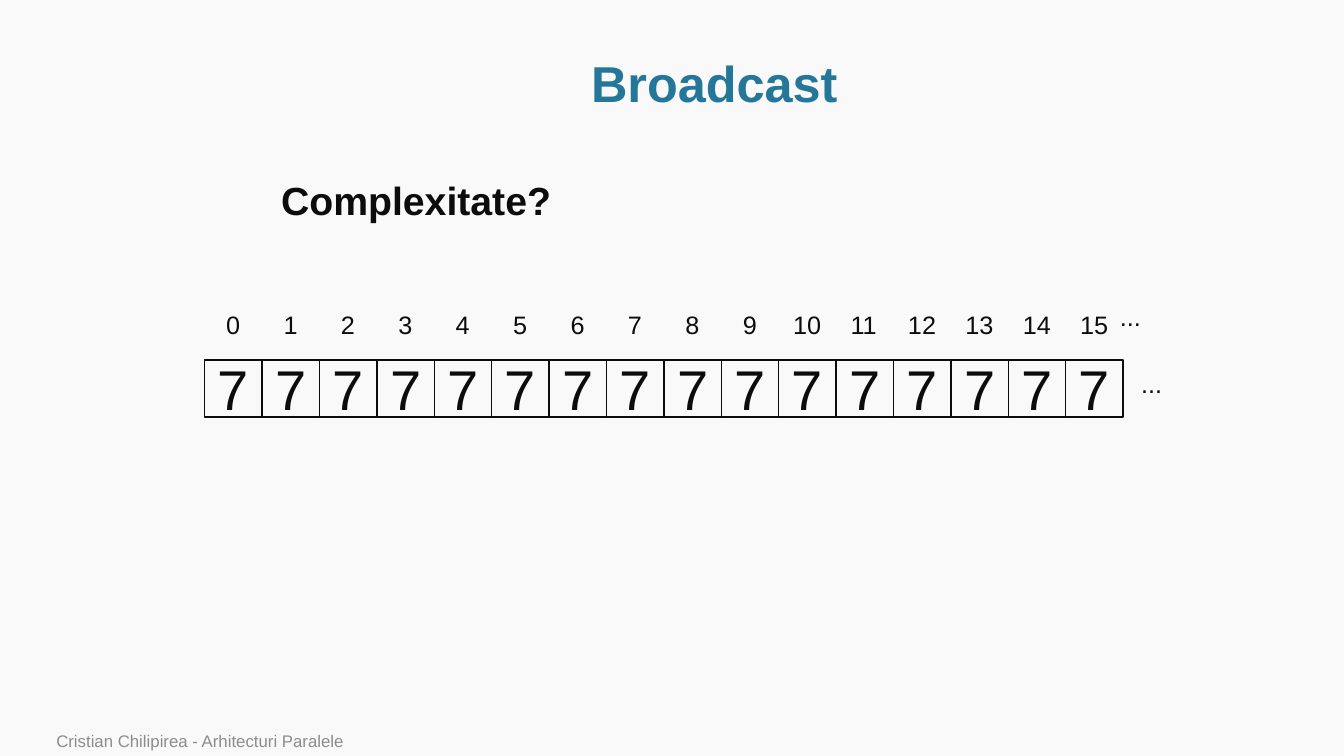
from pptx import Presentation
from pptx.util import Inches as In, Pt
from pptx.dml.color import RGBColor as RGB
from pptx.enum.shapes import MSO_SHAPE as Shape
from pptx.enum.text import PP_ALIGN as Align, MSO_ANCHOR as Anchor, MSO_AUTO_SIZE as Fit


def color(code):
    return RGB.from_string(code)


def write(item, text, size, ink, bold=False, align=Align.LEFT, anchor=Anchor.TOP, wrap=False):
    frame = item.text_frame
    frame.text = text
    frame.word_wrap = wrap
    frame.auto_size = Fit.NONE if wrap else Fit.SHAPE_TO_FIT_TEXT
    frame.vertical_anchor = anchor
    para = frame.paragraphs[0]
    para.alignment = align
    font = para.runs[0].font
    font.name = "Arial"
    font.size = Pt(size)
    font.bold = bold
    font.color.rgb = color(ink)
    return para


deck = Presentation()
deck.slide_width = In(13.33)
deck.slide_height = In(7.5)
slide = deck.slides.add_slide(deck.slide_layouts[6])
slide.background.fill.solid()
slide.background.fill.fore_color.rgb = color("F9F9F9")
shapes = slide.shapes

dark = "0C0C0C"
count = 16
left = 2.03
right = 11.14
side = (right - left) / count

title = shapes.add_textbox(In(1.14), In(0.51), In(11.89), In(0.69))
para = write(title, "Broadcast", 36, "247798", True, Align.CENTER, Anchor.MIDDLE, True)
para.line_spacing = 0.9

for col in range(count):
    x = left + col * side
    cell = shapes.add_shape(Shape.RECTANGLE, In(x), In(3.57), In(side), In(side))
    cell.shadow.inherit = False
    cell.fill.background()
    cell.line.color.rgb = color(dark)
    cell.line.width = Pt(1)
    write(cell, "7", 40, dark, align=Align.CENTER, anchor=Anchor.MIDDLE, wrap=True)

for col in range(count):
    wide = 0.34 if col < 10 else 0.48
    x = left + (col + 0.5) * side - wide / 2
    label = shapes.add_textbox(In(x), In(3.02), In(wide), In(0.4))
    write(label, str(col), 18, dark)

for x, y in ((11.01, 2.94), (11.22, 3.6)):
    dots = shapes.add_textbox(In(x), In(y), In(0.41), In(0.4))
    write(dots, "...", 18, dark)

query = shapes.add_textbox(In(2.69), In(1.7), In(2.91), In(0.57))
write(query, "Complexitate?", 28, dark, True)

footer = shapes.add_textbox(In(0.46), In(7.22), In(9.82), In(0.28))
write(footer, "Cristian Chilipirea - Arhitecturi Paralele", 12, "8C8C8C", anchor=Anchor.BOTTOM, wrap=True)

deck.save("out.pptx")
